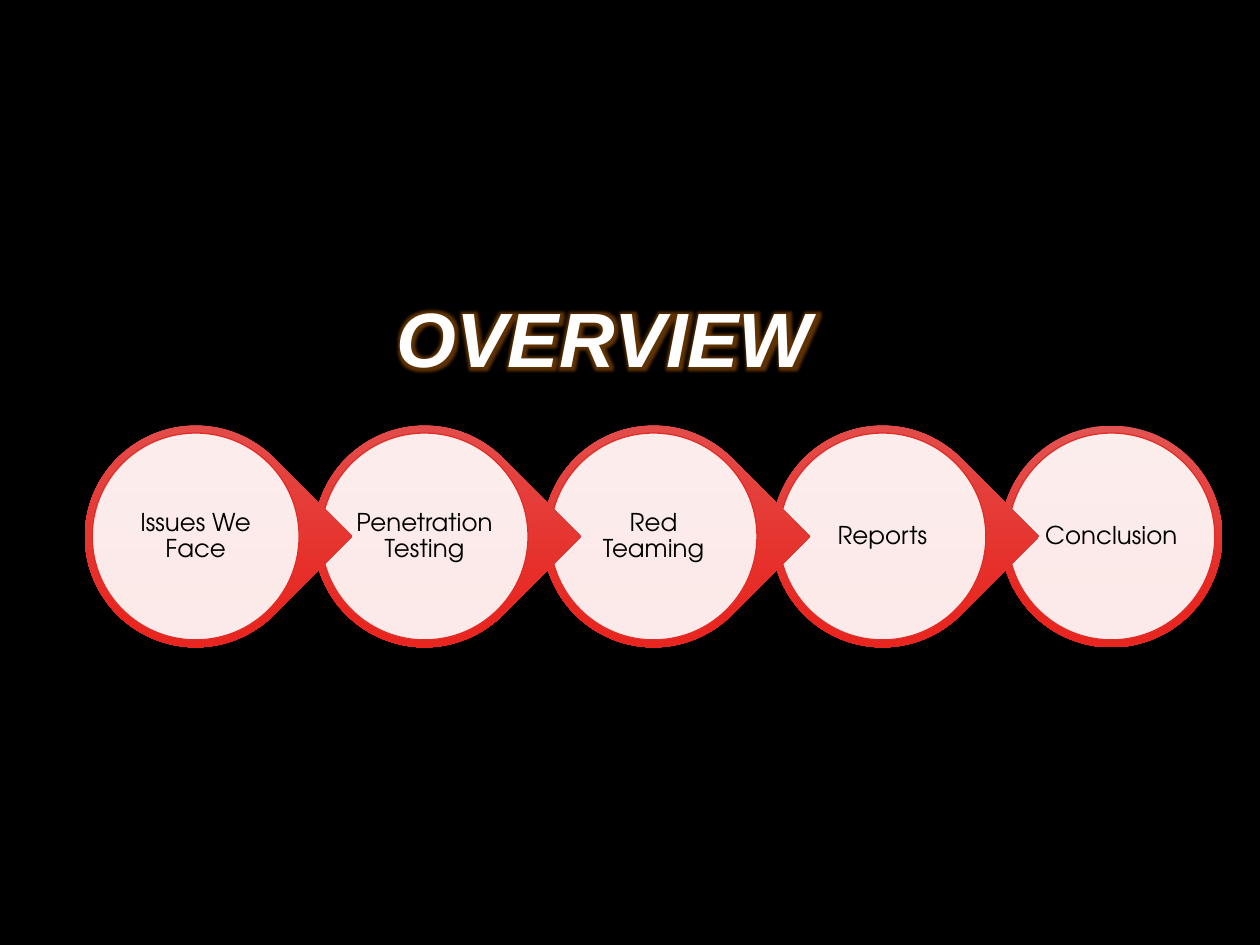
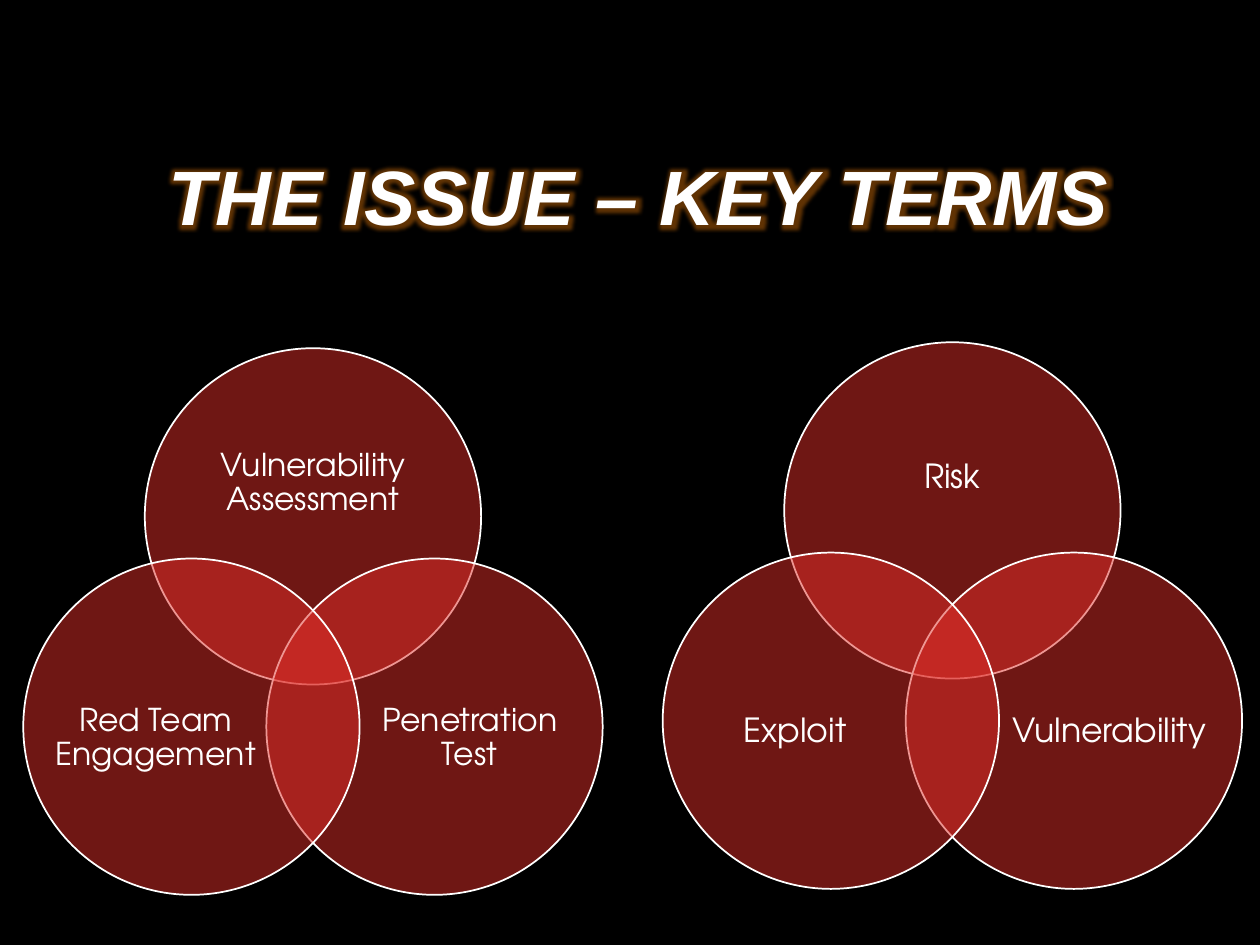
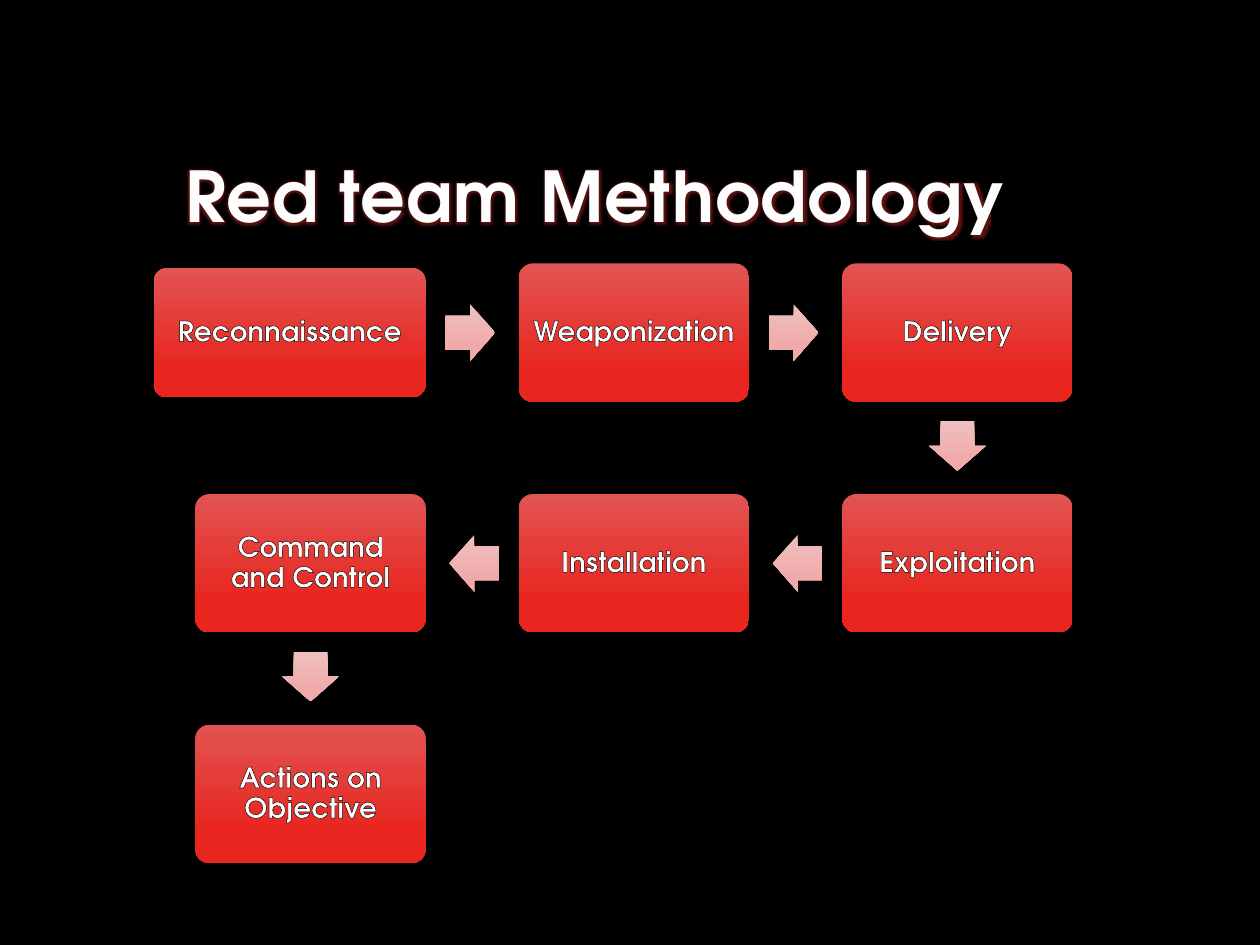
import math

import lxml.etree
import pptx
import pptx.dml.color
import pptx.enum.shapes
import pptx.enum.text
import pptx.oxml.ns
import pptx.util

Cm = pptx.util.Cm
Pt = pptx.util.Pt
KIND = pptx.enum.shapes.MSO_SHAPE
FONT = "TeX Gyre Adventor"
HEX = {
    "back": "000000", "white": "FFFFFF", "title": "FEFEFE", "black": "000000",
    "red": "DF2E28", "glow": "F07F09",
    "top": "E25452", "base": "E8251F", "pale": "F0BFBF", "pink": "F0AAAA",
}
RED = ("top", "base")
PINK = ("pale", "pink")


def color(key):
    """Return the named colour."""
    return pptx.dml.color.RGBColor.from_string(HEX[key])


def node(parent, tag, **attrs):
    """Append a DrawingML child and return it."""
    return lxml.etree.SubElement(parent, pptx.oxml.ns.qn("a:" + tag), attrs)


def edge(run, key):
    """Outline the letters of a run."""
    line = node(run.font._element, "ln", w="9525")
    node(node(line, "solidFill"), "srgbClr", val=HEX[key])
    run.font._element.insert(0, line)


def halo(run, key, size):
    """Give the letters of a run a soft glow."""
    props = run.font._element
    effect = node(props, "effectLst")
    glow = node(effect, "glow", rad=str(Pt(size)))
    node(node(glow, "srgbClr", val=HEX[key]), "alpha", val="40000")
    props.find(pptx.oxml.ns.qn("a:solidFill")).addnext(effect)


def label(slide, text, box, size, ink="white", inset=0, bold=False,
          rim=None, font=FONT):
    """Add centred text and return its run."""
    frame = slide.shapes.add_textbox(*map(Cm, box)).text_frame
    frame.text = text
    frame.word_wrap = True
    frame.vertical_anchor = pptx.enum.text.MSO_ANCHOR.MIDDLE
    frame.margin_left = frame.margin_right = Cm(inset)
    frame.margin_top = frame.margin_bottom = Cm(inset)
    para = frame.paragraphs[0]
    para.alignment = pptx.enum.text.PP_ALIGN.CENTER
    para.line_spacing = 0.9
    run = para.runs[0]
    run.font.size = Pt(size)
    run.font.name = font
    run.font.bold = bold
    run.font.color.rgb = color(ink)
    if rim:
        edge(run, rim)
    return run


def banner(slide, text, box):
    """Add a glowing italic title."""
    run = label(slide, text, box, 44, bold=True, font="Arial", inset=0.2)
    run.font.italic = True
    halo(run, "glow", 8)


def shape(slide, kind, box, turn=0, adjust=()):
    """Add a preset shape without shadow or line."""
    item = slide.shapes.add_shape(kind, *map(Cm, box))
    item.shadow.inherit = False
    item.line.fill.background()
    item.rotation = turn
    for index, value in enumerate(adjust):
        item.adjustments[index] = value
    return item


def shade(item, pair):
    """Fill a shape with an upright two-colour gradient."""
    item.fill.gradient()
    item.fill.gradient_angle = 270
    for stop, key, place in zip(item.fill.gradient_stops, pair, (0, 0.78)):
        stop.color.rgb = color(key)
        stop.position = place
    grad = item._element.spPr.find(pptx.oxml.ns.qn("a:gradFill"))
    grad.set("rotWithShape", "0")


def disc(slide, box, fill, alpha, line, width):
    """Add a see-through circle with an outline."""
    item = shape(slide, KIND.OVAL, box)
    item.fill.solid()
    item.fill.fore_color.rgb = color(fill)
    tone = item._element.spPr.find(".//" + pptx.oxml.ns.qn("a:srgbClr"))
    node(tone, "alpha", val=str(alpha * 1000))
    item.line.color.rgb = color(line)
    item.line.width = Pt(width)


def shrink(box, gap):
    """Return a box inset evenly on all sides."""
    left, top, width, height = box
    return left + gap, top + gap, width - 2 * gap, height - 2 * gap


def chain(slide, names):
    """Draw a row of pointed rings, the last one round."""
    for index in reversed(range(len(names))):
        box = (1.71 + 4.615 * index, 8.58, 4.47, 4.47)
        if index == len(names) - 1:
            ring = shape(slide, KIND.OVAL, box)
        else:
            ring = shape(slide, KIND.TEAR, box, 45, (1,))
        shade(ring, RED)
        disc(slide, shrink(box, 0.15), "white", 90, "red", 0.75)
        label(slide, names[index], shrink(box, 0.75), 14, "black", 0.05,
              rim="red")


def venn(slide, left, top, names, size):
    """Draw three overlapping circles: top, right, left."""
    moves = ((0, 0), (2.45, 4.24), (-2.45, 4.24))
    spots = ((0.9, 1.2, 4.98, 3.05), (2.07, 1.75, 4.06, 3.73),
             (0.64, 1.75, 4.06, 3.73))
    for name, (right, down), (x, y, width, height) in zip(names, moves, spots):
        col, row = left + right, top + down
        disc(slide, (col, row, 6.78, 6.78), "red", 50, "white", 1)
        label(slide, name, (col + x, row + y, width, height), size)


def arrow(slide, start, end):
    """Place a block arrow midway between two cell centres."""
    across, down = end[0] - start[0], end[1] - start[1]
    span = math.hypot(across, down)
    x = (start[0] + end[0]) / 2 - 0.04 * across / span
    y = (start[1] + end[1]) / 2 - 0.04 * down / span
    turn = math.degrees(math.atan2(down, across))
    box = (x - 0.5, y - 0.57, 1, 1.14)
    shade(shape(slide, KIND.RIGHT_ARROW, box, turn, (0.6, 0.5)), PINK)


def snake(slide, steps):
    """Draw a winding flow of boxes joined by block arrows."""
    width, height = 4.64, 2.79
    last = None
    for name, col, row in steps:
        left, top = 3.94 + 6.52 * col, 5.31 + 4.65 * row
        mid = (left + width / 2, top + height / 2)
        box = (left, top, width, height)
        if last:
            arrow(slide, last, mid)
        else:
            box = (left - 0.84, top + 0.09, width + 0.84, height - 0.18)
        shade(shape(slide, KIND.ROUNDED_RECTANGLE, box, 0, (0.1,)), RED)
        label(slide, name, shrink(box, 0.08), 16, inset=0.18, bold=True,
              rim="black")
        last = mid


def page(deck):
    """Add a blank slide on the dark background."""
    slide = deck.slides.add_slide(deck.slide_layouts[6])
    slide.background.fill.solid()
    slide.background.fill.fore_color.rgb = color("back")
    return slide


def main():
    """Build the three slides and save them."""
    deck = pptx.Presentation()
    deck.slide_width, deck.slide_height = Cm(25.4), Cm(19.05)

    slide = page(deck)
    banner(slide, "OVERVIEW", (5.57, 4.93, 13.23, 3.96))
    chain(slide, ("Issues We Face", "Penetration Testing", "Red Teaming",
                  "Reports", "Conclusion"))

    slide = page(deck)
    banner(slide, "THE ISSUE – KEY TERMS", (0.36, 1.6, 25.04, 4.9))
    venn(slide, 2.92, 7.02, ("Vulnerability Assessment", "Penetration Test",
                             "Red Team Engagement"), 18)
    venn(slide, 15.81, 6.9, ("Risk", "Vulnerability", "Exploit"), 19)

    slide = page(deck)
    run = label(slide, "Red team Methodology", (3.15, 2.24, 17.7, 3.58), 40,
                "title", 0.2, bold=True, rim="red")
    run.font._element.set("spc", "50")
    halo(run, "red", 3)
    snake(slide, (("Reconnaissance", 0, 0), ("Weaponization", 1, 0),
                  ("Delivery", 2, 0), ("Exploitation", 2, 1),
                  ("Installation", 1, 1), ("Command and Control", 0, 1),
                  ("Actions on Objective", 0, 2)))

    deck.save("out.pptx")


if __name__ == "__main__":
    main()
